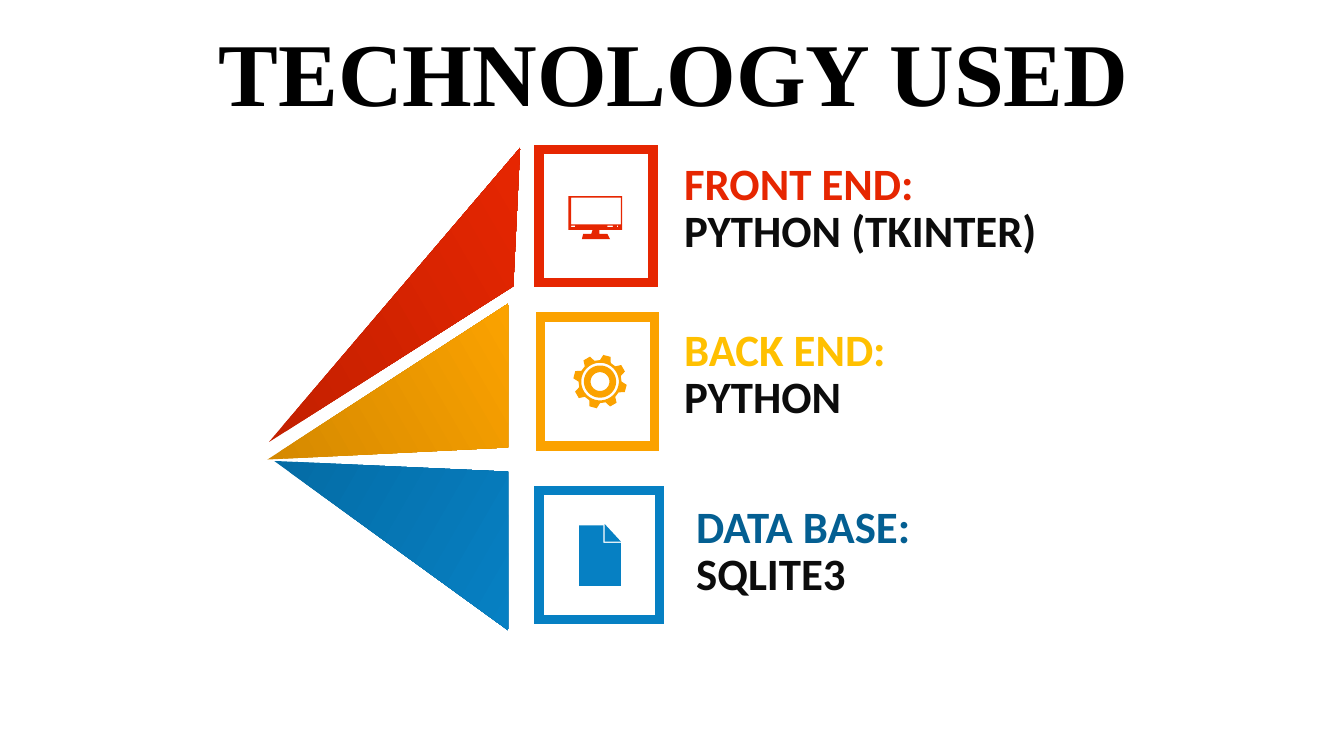
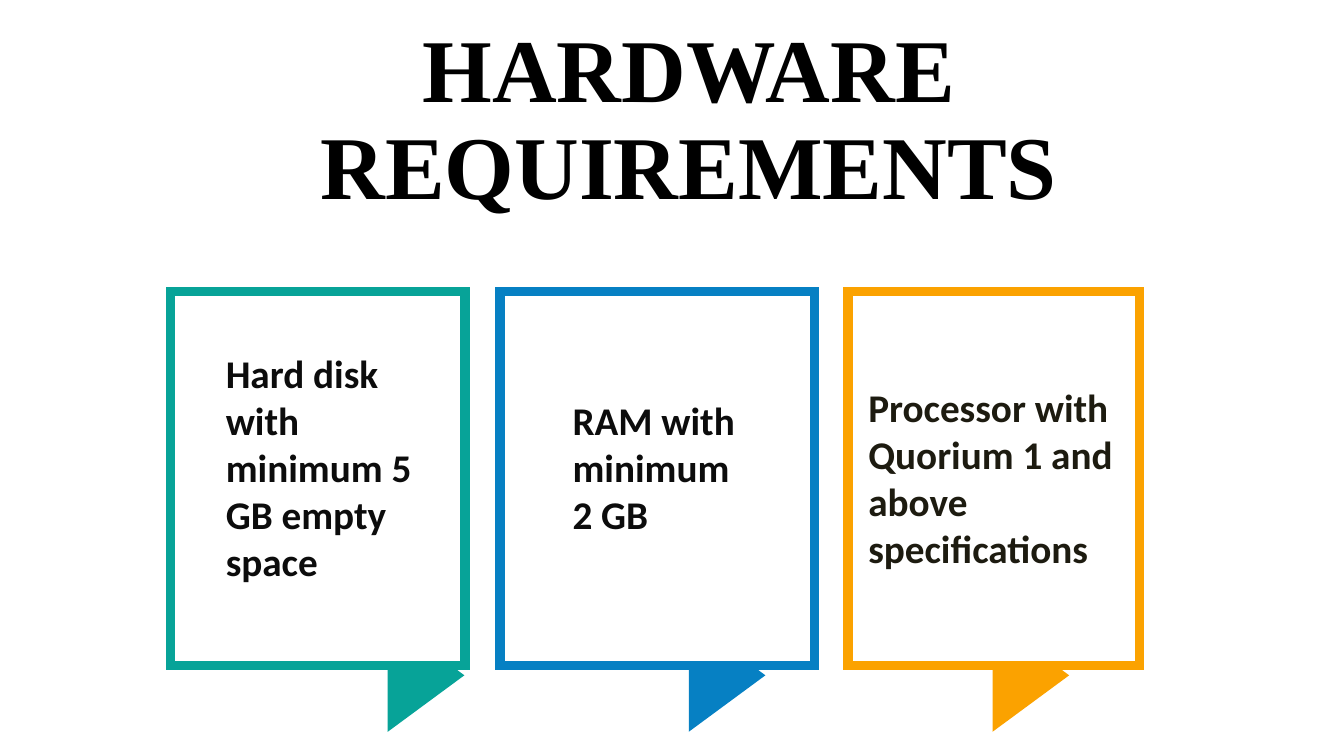
"""Builds two slides: the technology used and the hardware requirements."""
import math

from lxml import etree
from pptx import Presentation
from pptx import util as u
from pptx.dml.color import RGBColor
from pptx.enum import shapes, text
from pptx.oxml.ns import qn

BLACK = RGBColor(0x00, 0x00, 0x00)
WHITE = RGBColor(0xFF, 0xFF, 0xFF)
INK = RGBColor(0x0C, 0x0C, 0x0C)
BROWN_INK = RGBColor(0x1D, 0x1B, 0x10)
RED = RGBColor(0xE6, 0x26, 0x01)
DARK_RED = RGBColor(0xC3, 0x20, 0x00)
ORANGE = RGBColor(0xFB, 0xA2, 0x00)
DARK_ORANGE = RGBColor(0xD5, 0x89, 0x00)
YELLOW = RGBColor(0xFF, 0xC0, 0x00)
BLUE = RGBColor(0x06, 0x80, 0xC3)
DARK_BLUE = RGBColor(0x05, 0x6C, 0xA5)
HEADING_BLUE = RGBColor(0x04, 0x5F, 0x92)
TEAL = RGBColor(0x07, 0xA3, 0x98)

deck = Presentation()
deck.slide_width = u.Inches(10)
deck.slide_height = deck.slide_width * 9 // 16
CELL = deck.slide_width / 100

TITLE_FONT = {"name": "Times New Roman", "size": u.Pt(48), "bold": True}
LABEL_FONT = {"name": "Calibri", "size": u.Pt(24), "bold": True}
CARD_FONT = {"name": "Calibri", "size": u.Pt(21), "bold": True}
FRAME = {
    "margin_left": u.Inches(0.07), "margin_right": u.Inches(0.07),
    "margin_top": u.Inches(0.04), "margin_bottom": u.Inches(0.04),
    "word_wrap": True, "auto_size": text.MSO_AUTO_SIZE.NONE,
}


def write(box, place, lines, font, color):
    """Place a box on the grid and fill it with formatted paragraphs."""
    box.left, box.top, box.width, box.height = [round(n * CELL) for n in place]
    frame = box.text_frame
    for name, value in FRAME.items():
        setattr(frame, name, value)
    frame.text = "\n".join(lines)
    for para in frame.paragraphs:
        for span in para.runs:
            span.font.color.rgb = color
            for name, value in font.items():
                setattr(span.font, name, value)


def draw(page, kind, place, color, border=None):
    """Add a plain preset shape, or an outline when kind is None."""
    if kind is None:
        outlines = [[(round(x * CELL), round(y * CELL)) for x, y in points]
                    for points in place]
        builder = page.shapes.build_freeform(*outlines[0][0])
        builder.add_line_segments(outlines[0][1:])
        for points in outlines[1:]:
            builder.move_to(*points[0])
            builder.add_line_segments(points[1:])
        box = builder.convert_to_shape()
    else:
        box = page.shapes.add_shape(kind, *[round(n * CELL) for n in place])
    box.shadow.inherit = False
    box.fill.solid()
    box.fill.fore_color.rgb = color
    if border is None:
        box.line.fill.background()
    else:
        box.line.color.rgb = border
        box.line.width = u.Pt(5)
        line = box.element.spPr.find(qn("a:ln"))
        etree.SubElement(line, qn("a:miter"), lim="800000")
    return box


pages = []
for title, left, top in [("TECHNOLOGY USED", 2.7, 2.8),
                         ("HARDWARE REQUIREMENTS", 3.8, 6.1)]:
    page = deck.slides.add_slide(deck.slide_layouts[5])
    write(page.shapes.title, (left, top, 94.9, 5.9), [title], TITLE_FONT, BLACK)
    page.shapes.title.text_frame.vertical_anchor = text.MSO_ANCHOR.MIDDLE
    para = page.shapes.title.text_frame.paragraphs[0]
    para.alignment = text.PP_ALIGN.CENTER
    para.line_spacing = 0.9
    pages.append(page)
technology, hardware = pages

parts = [
    ("FRONT END:", "PYTHON (TKINTER)", RED, RED, (40.1, 11.1, 8.5, 9.9), (50.2, 11.2)),
    ("BACK END:", "PYTHON", YELLOW, ORANGE, (40.2, 23.6, 8.5, 9.6), (50.2, 23.5)),
    ("DATA BASE:", "SQLITE3", HEADING_BLUE, BLUE, (40.1, 36.5, 9, 9.6), (51.1, 36.7)),
]
for heading, tool, heading_color, color, square, (left, top) in parts:
    draw(technology, shapes.MSO_SHAPE.RECTANGLE, square, WHITE, color)
    for row, line, ink in [(0, heading, heading_color), (3.5, tool, INK)]:
        box = technology.shapes.add_textbox(0, 0, 0, 0)
        write(box, (left, top + row, 42.8, 4.8), [line], LABEL_FONT, ink)

fans = [
    ([(37.8, 22.6), (19.9, 34.2), (37.8, 33.3)], DARK_ORANGE, ORANGE, 30),
    ([(38.7, 11), (20, 32.9), (38.2, 21.3)], DARK_RED, RED, 30),
    ([(37.8, 46.9), (20.4, 34.3), (37.8, 35.1)], DARK_BLUE, BLUE, 330),
]
for points, dark, light, angle in fans:
    fan = draw(technology, None, [points], light)
    fan.fill.gradient()
    fan.fill.gradient_angle = angle
    for stop, color in zip(fan.fill.gradient_stops, (dark, light)):
        stop.color.rgb = color

screen = [
    [(42.3, 14.6), (46.3, 14.6), (46.3, 17.1), (44.6, 17.1), (44.6, 17.4),
     (45.2, 17.4), (45.4, 17.8), (43.3, 17.8), (43.4, 17.4), (44, 17.4),
     (44.1, 17.1), (42.3, 17.1)],
    [(42.5, 14.7), (46.2, 14.7), (46.2, 16.7), (42.5, 16.7)],
]
for left, width in [(42.5, 0.3), (45.2, 0.4), (45.9, 0.1)]:
    screen.append([(left, 16.8), (left + width, 16.8),
                   (left + width, 16.9), (left, 16.9)])

document = [
    [(43.1, 39.1), (44.9, 39.1), (44.9, 40.4), (46.2, 40.4), (46.2, 43.6), (43.1, 43.6)],
    [(45, 39), (46.2, 40.3), (45, 40.3)],
]

teeth = [(radius, 45 * tooth + turn) for tooth in range(8)
         for radius, turn in [(1.6, -30), (1.6, -15), (2, -8), (2, 8), (1.6, 15)]]
rings = [[(radius, turn) for turn in range(0, 360, 10)] for radius in (1.4, 1.2, 0.7)]
gear = [[(44.65 + radius * math.cos(math.radians(turn - 75)),
          28.4 + radius * math.sin(math.radians(turn - 75)))
         for radius, turn in outline] for outline in [teeth] + rings]

for icon, color in [(screen, RED), (document, BLUE), (gear, ORANGE)]:
    draw(technology, None, icon, color)

cards = [
    (["Processor with Quorium 1 and above", "specifications"], BROWN_INK, ORANGE,
     63.1, 21.7, 72.5, (63.9, 28.1, 20.9, 14.9)),
    (["RAM with minimum 2 GB"], INK, BLUE,
     37.2, 23.4, 49.9, (41.9, 29.1, 14.6, 14.9)),
    (["Hard disk with minimum 5 GB empty space"], INK, TEAL,
     12.7, 21.9, 27.5, (16.1, 25.6, 16.8, 22)),
]
for lines, ink, color, left, width, tail_left, place in cards:
    tail = draw(hardware, shapes.MSO_SHAPE.ISOSCELES_TRIANGLE,
                (tail_left, 47.4, 8.4, 5.7), color)
    tail.rotation = 90
    draw(hardware, shapes.MSO_SHAPE.RECTANGLE, (left, 21.7, width, 27.8), WHITE, color)
    write(hardware.shapes.add_textbox(0, 0, 0, 0), place, lines, CARD_FONT, ink)

deck.save("out.pptx")
